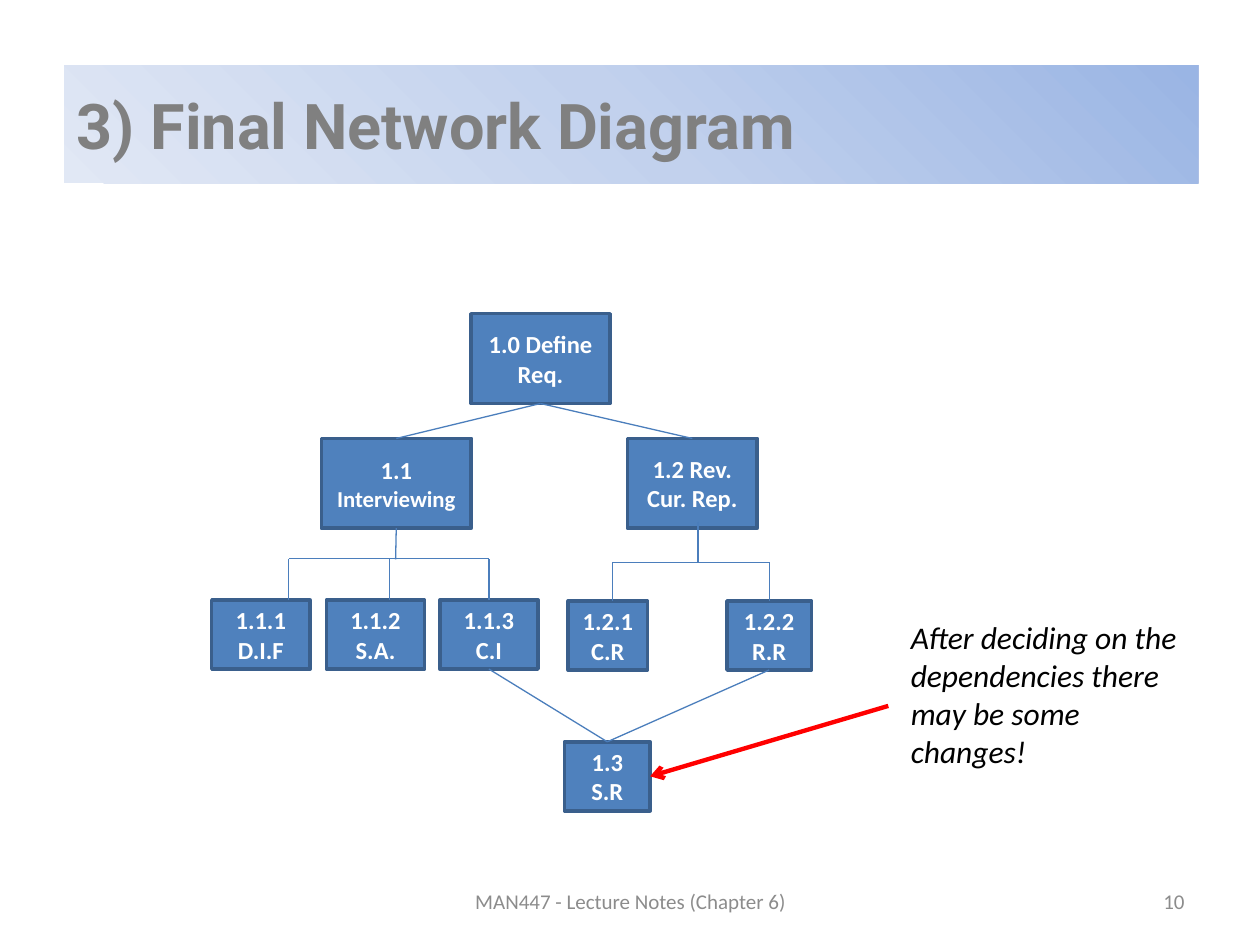
from lxml import etree
from pptx import Presentation, util as u
from pptx.dml.color import RGBColor
from pptx.enum import shapes, text
from pptx.oxml import parse_xml
from pptx.oxml.ns import nsdecls, qn

COLORS = {"title": "808080", "node": "4F81BD", "border": "3A5F8C", "link": "4B7EBC",
          "alert": "FF0000", "white": "FFFFFF", "black": "000000", "footer": "8C8C8C"}
GRADIENT = [(0, "9AB5E4"), (50, "C2D1ED"), (100, "E1E8F5")]
TOP, LEFT, BOTTOM, RIGHT = range(4)

# All places are percentages of the slide's width and height.
TIERS = {"root": (33.2, 9.5), "task": (46.4, 9.5), "interview": (63.5, 7.3),
         "review": (63.6, 7.3), "result": (78.5, 7.3)}  # top, height
NODES = {  # tier, left, width, text runs with their sizes
    "1.0": ("root", 37.4, 11, [("1.0 Define Req.", 14)]),
    "1.1": ("task", 25.5, 11.9, [("1.1 ", 14), ("Interviewing", 13)]),
    "1.2": ("task", 49.8, 10.3, [("1.2 Rev. Cur. Rep.", 14)]),
    "1.1.1": ("interview", 16.8, 7.8, [("1.1.1 D.I.F", 14)]),
    "1.1.2": ("interview", 25.9, 7.8, [("1.1.2 S.A.", 14)]),
    "1.1.3": ("interview", 34.9, 7.8, [("1.1.3 C.I", 14)]),
    "1.2.1": ("review", 45.1, 6.3, [("1.2.1 C.R", 14)]),
    "1.2.2": ("review", 57.7, 6.7, [("1.2.2 R.R", 14)]),
    "1.3": ("result", 44.8, 6.8, [("1.3 S.R", 14)]),
}
# A link's end is a point, or a node's name and the side it joins.
LINKS = [
    (("1.0", BOTTOM), ("1.1", TOP)), (("1.0", BOTTOM), ("1.2", TOP)),
    (("1.1", BOTTOM), (31.4, 59.2)), ((55.4, 55.2), (55.4, 59.5)),
    ((22.9, 59.1), (38.8, 59.1)), ((48.6, 59.5), (61.1, 59.5)),
    ((22.9, 59.2), (22.9, 63.5)), ((30.9, 59.2), (30.9, 63.5)),
    ((38.8, 59.2), ("1.1.3", TOP)),
    ((48.6, 59.5), (48.6, 63.6)), ((61.05, 59.5), ("1.2.2", TOP)),
    (("1.1.3", BOTTOM), ("1.3", TOP)), (("1.2.2", BOTTOM), ("1.3", TOP)),
]
CALLOUT_ARROW = ((70.5, 74.7), ("1.3", RIGHT))
TITLE = ("3) Final Network Diagram", (5.1, 6.9, 90, 12.5))
TEXTS = [
    ("After deciding on the dependencies there may be some changes!",
     (71.3, 64.8, 24.8, 17.5), {"size": 18, "color": "black", "italic": True}),
    ("MAN447 - Lecture Notes (Chapter 6)", (34.2, 92.7, 31.7, 5.3),
     {"size": 12, "color": "footer", "align": text.PP_ALIGN.CENTER, "middle": True}),
    ("10", (71.7, 92.7, 23.3, 5.3),
     {"size": 12, "color": "footer", "align": text.PP_ALIGN.RIGHT, "middle": True}),
]

deck = Presentation()
deck.slide_width, deck.slide_height = u.Inches(10), u.Inches(7.5)
page = deck.slides.add_slide(deck.slide_layouts[6])


def rgb(name):
    return RGBColor.from_string(COLORS[name])


def across(share):
    return round(deck.slide_width * share / 100)


def down(share):
    return round(deck.slide_height * share / 100)


def frame(left, top, width, height):
    return across(left), down(top), across(width), down(height)


def write(box, runs, color, font="Calibri", bold=False, italic=False,
          align=text.PP_ALIGN.LEFT, middle=False):
    """Fill a box with one paragraph made of (words, size) runs."""
    body = box.text_frame
    body.word_wrap = True
    body.vertical_anchor = text.MSO_ANCHOR.MIDDLE if middle else text.MSO_ANCHOR.TOP
    para = body.paragraphs[0]
    para.alignment = align
    for words, size in runs:
        span = para.add_run()
        span.text = words
        span.font.name, span.font.size = font, u.Pt(size)
        span.font.bold, span.font.italic = bold, italic
        span.font.color.rgb = rgb(color)


def add_title(words, place):
    box = page.shapes.add_shape(shapes.MSO_SHAPE.RECTANGLE, *frame(*place))
    box.shadow.inherit = False
    box.line.fill.background()
    stops = "".join(f'<a:gs pos="{pos * 1000}"><a:srgbClr val="{color}"/></a:gs>'
                    for pos, color in GRADIENT)
    box.fill.background()
    plain = box._element.spPr.find(qn("a:noFill"))
    plain.getparent().replace(plain, parse_xml(
        f'<a:gradFill {nsdecls("a")} rotWithShape="1"><a:gsLst>{stops}</a:gsLst>'
        '<a:path path="circle"><a:fillToRect l="100000" b="100000"/></a:path></a:gradFill>'))
    write(box, [(words, 36)], "title", font="Roboto", bold=True, middle=True)


def add_node(tier, left, width, runs):
    top, height = TIERS[tier]
    box = page.shapes.add_shape(shapes.MSO_SHAPE.FLOWCHART_PROCESS,
                                *frame(left, top, width, height))
    box.shadow.inherit = False
    box.fill.solid()
    box.fill.fore_color.rgb = rgb("node")
    box.line.color.rgb, box.line.width = rgb("border"), u.Pt(2)
    write(box, runs, "white", bold=True, align=text.PP_ALIGN.CENTER, middle=True)
    return box


def add_link(boxes, start, end, color="link", width=0.75, arrow=False):
    points = [(0, 0) if point[0] in boxes else (across(point[0]), down(point[1]))
              for point in (start, end)]
    line = page.shapes.add_connector(shapes.MSO_CONNECTOR.STRAIGHT, *points[0], *points[1])
    for (target, side), connect in ((start, line.begin_connect), (end, line.end_connect)):
        if target in boxes:
            connect(boxes[target], side)
    line.line.color.rgb, line.line.width = rgb(color), u.Pt(width)
    if arrow:
        etree.SubElement(line.line._get_or_add_ln(), qn("a:tailEnd"), type="arrow")
    etree.SubElement(line._element.spPr, qn("a:effectLst"))


add_title(*TITLE)
nodes = {name: add_node(*details) for name, details in NODES.items()}
for start, end in LINKS:
    add_link(nodes, start, end)
add_link(nodes, *CALLOUT_ARROW, color="alert", width=2.5, arrow=True)
for words, place, style in TEXTS:
    size = style.pop("size")
    write(page.shapes.add_textbox(*frame(*place)), [(words, size)], **style)

deck.save("out.pptx")
